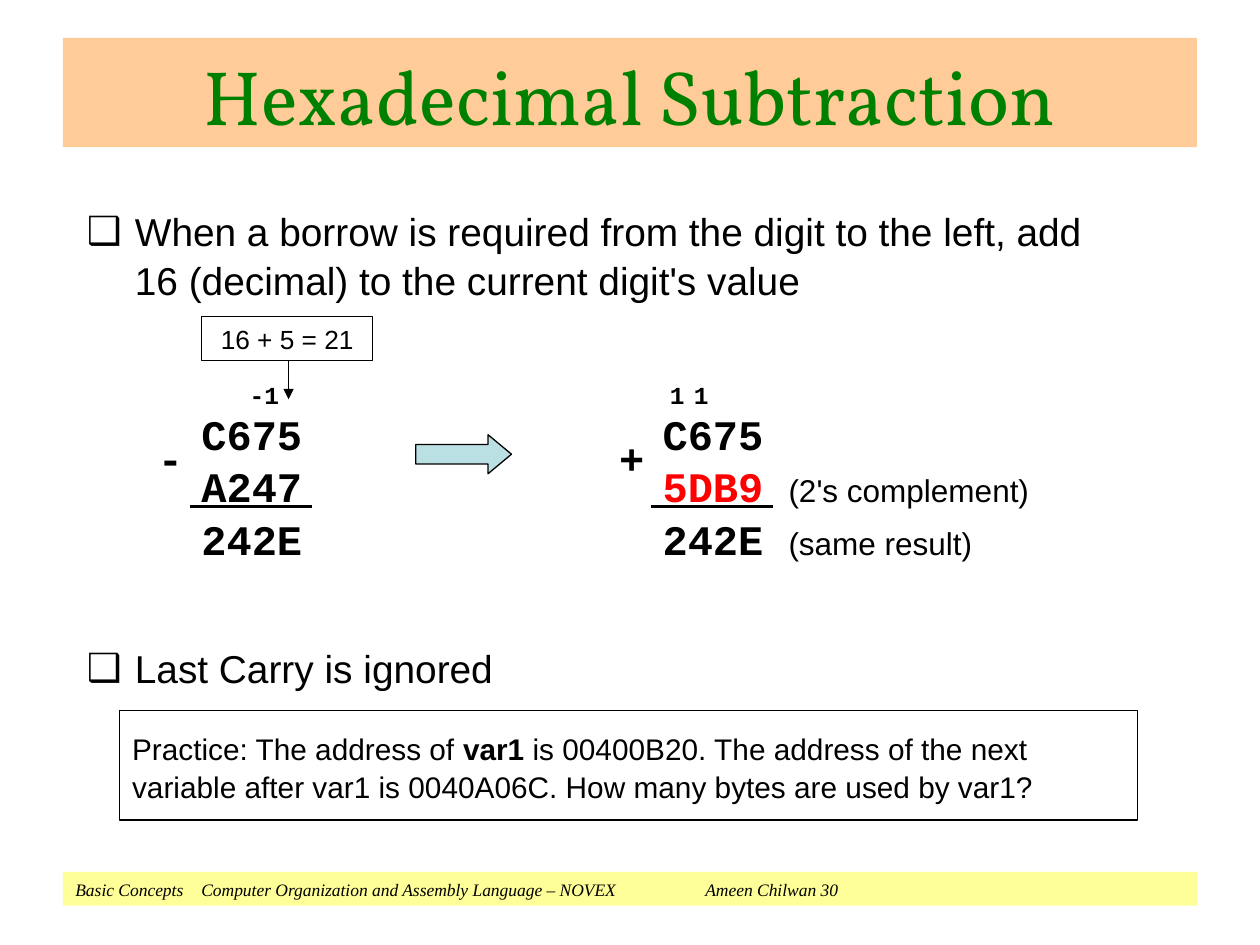
from lxml import etree
from pptx import Presentation
from pptx.dml.color import RGBColor
from pptx.enum.shapes import MSO_CONNECTOR as Connector, MSO_SHAPE as Shape
from pptx.enum.text import MSO_ANCHOR as Anchor, PP_ALIGN as Align
from pptx.oxml.ns import qn
from pptx.util import Pt

BLACK = RGBColor(0x00, 0x00, 0x00)
WHITE = RGBColor(0xFF, 0xFF, 0xFF)
GREEN = RGBColor(0x00, 0x80, 0x00)
RED = RGBColor(0xFF, 0x00, 0x00)
PEACH = RGBColor(0xFF, 0xCC, 0x99)
YELLOW = RGBColor(0xFF, 0xFF, 0x99)
PALE_BLUE = RGBColor(0xBB, 0xE0, 0xE3)

SANS, MONO, SERIF, DISPLAY = "Arial", "Courier New", "Times New Roman", "Vollkorn"
BULLET_INDENT = 27.5


class SlideBuilder:
    """Holds the slide and its style; runs are (text, overrides) pairs."""

    def __init__(self, slide):
        self.slide = slide
        self.line_spacing = 1.05

    def add_text(self, shape, paragraphs, size, font=SANS, color=BLACK, bold=False,
                 italic=False, align=Align.LEFT, anchor=Anchor.TOP,
                 insets=(7.2, 3.6), before=0):
        frame = shape.text_frame
        frame.word_wrap = True
        frame.vertical_anchor = anchor
        frame.margin_left = frame.margin_right = Pt(insets[0])
        frame.margin_top = frame.margin_bottom = Pt(insets[1])
        for index, runs in enumerate(paragraphs):
            para = frame.add_paragraph() if index else frame.paragraphs[0]
            para.alignment = align
            para.line_spacing = self.line_spacing
            para.space_before = Pt(before)
            for text, own in runs:
                run = para.add_run()
                run.text = text
                run.font.size = Pt(own.get("size", size))
                run.font.name = own.get("font", font)
                run.font.bold = own.get("bold", bold)
                run.font.italic = italic
                run.font.color.rgb = own.get("color", color)
        return frame

    def text_box(self, box, paragraphs, size, **style):
        shape = self.slide.shapes.add_textbox(*map(Pt, box))
        return self.add_text(shape, paragraphs, size, **style)

    def panel(self, box, fill=None, outlined=False, kind=Shape.RECTANGLE):
        shape = self.slide.shapes.add_shape(kind, *map(Pt, box))
        shape.shadow.inherit = False
        if fill is None:
            shape.fill.background()
        else:
            shape.fill.solid()
            shape.fill.fore_color.rgb = fill
        if outlined:
            shape.line.color.rgb = BLACK
            shape.line.width = Pt(0.75)
        else:
            shape.line.fill.background()
        return shape

    def line(self, start, end, width, arrow=False):
        rule = self.slide.shapes.add_connector(
            Connector.STRAIGHT, *map(Pt, start + end))
        rule.line.color.rgb = BLACK
        rule.line.width = Pt(width)
        props = rule._element.spPr
        if arrow:
            etree.SubElement(props.get_or_add_ln(), qn("a:tailEnd"), type="triangle")
        etree.SubElement(props, qn("a:effectLst"))

    def bullet(self, top, height, text):
        frame = self.text_box((42.5, top, 612.7, height), [[(text, {})]], 22.2)
        props = frame.paragraphs[0]._p.get_or_add_pPr()
        props.set("marL", str(Pt(BULLET_INDENT)))
        props.set("indent", str(-Pt(BULLET_INDENT)))
        etree.SubElement(props, qn("a:buFont"), typeface=SANS)
        etree.SubElement(props, qn("a:buChar"), char="❑")

    def tab_stops(self, frame, positions):
        props = frame.paragraphs[0]._p.get_or_add_pPr()
        stops = etree.SubElement(props, qn("a:tabLst"))
        for position in positions:
            etree.SubElement(stops, qn("a:tab"), pos=str(Pt(position)), algn="l")

    def column_sum(self, left, width, sign, rows):
        """Digits in rows, the rule above the result, and the sign."""
        self.text_box((left, 221, width, 108), rows, 24, font=MONO, bold=True,
                      insets=(7.2, 10.8))
        self.line((left + 0.7, 289.4), (left + 70.2, 289.4), 1.5)
        self.text_box((left - 24.8, 234.7, 23.8, 50.4), [[(sign, {})]], 24,
                      font=MONO, bold=True, insets=(7.2, 10.8), before=15)

    def carry(self, left, text, align=Align.CENTER):
        self.text_box((left, 216.7, 18, 16.6), [[(text, {})]], 14, font=MONO,
                      bold=True, align=align, anchor=Anchor.MIDDLE, insets=(0, 0))


def main():
    deck = Presentation()
    deck.slide_width, deck.slide_height = Pt(720), Pt(540)
    page = SlideBuilder(deck.slides.add_slide(deck.slide_layouts[6]))

    # Footer
    footer = page.panel((36, 498.2, 648, 19.4), YELLOW)
    footer_text = page.add_text(
        footer, [[("Basic Concepts\tComputer Organization and Assembly Language"
                   " – NOVEX\tAmeen Chilwan 30", {})]],
        10, font=SERIF, italic=True, anchor=Anchor.MIDDLE)
    page.tab_stops(footer_text, (72, 360))

    # Title
    title = page.panel((36, 21.6, 648, 62.6), PEACH)
    page.add_text(title, [[("Hexadecimal Subtraction", {})]], 44, font=DISPLAY,
                  color=GREEN, align=Align.CENTER, anchor=Anchor.MIDDLE)

    # Rules
    page.bullet(113.8, 62, "When a borrow is required from the digit to the left, "
                           "add 16 (decimal) to the current digit's value")
    page.bullet(363.6, 35, "Last Carry is ignored")

    # Practice question
    practice = page.panel((68.4, 406, 581.8, 62.6), outlined=True)
    page.add_text(practice, [[
        ("Practice: The address of ", {}),
        ("var1", {"bold": True}),
        (" is 00400B20. The address of the next variable after var1 is 0040A06C. "
         "How many bytes are used by var1?", {}),
    ]], 17, insets=(7.2, 10.8))

    # Direct subtraction with a borrow
    page.line((164.9, 203), (164.9, 228.2), 0.75, arrow=True)
    page.column_sum(108, 116, "-", [[(row, {})] for row in ("C675", "A247", "242E")])
    page.carry(142.6, "-1", Align.LEFT)
    borrow = page.panel((115.2, 180.7, 97.9, 25.2), WHITE, outlined=True)
    page.add_text(borrow, [[("16 + 5 = 21", {})]], 15, align=Align.CENTER,
                  anchor=Anchor.MIDDLE, insets=(7.2, 2.9))

    # Step to the second method
    step = page.panel((237.6, 248.4, 54.7, 22.3), PALE_BLUE, outlined=True,
                      kind=Shape.RIGHT_ARROW)
    step.adjustments[0], step.adjustments[1] = 0.5, 0.6

    # Addition of the two's complement
    remark = {"size": 18, "font": SANS, "bold": False}
    page.column_sum(371.5, 229, "+", [
        [("C675", {})],
        [("5DB9 ", {"color": RED}), ("(2's complement)", remark)],
        [("242E ", {}), ("(same result)", remark)],
    ])
    for left in (378, 391.7):
        page.carry(left, "1")

    deck.save("out.pptx")


if __name__ == "__main__":
    main()
